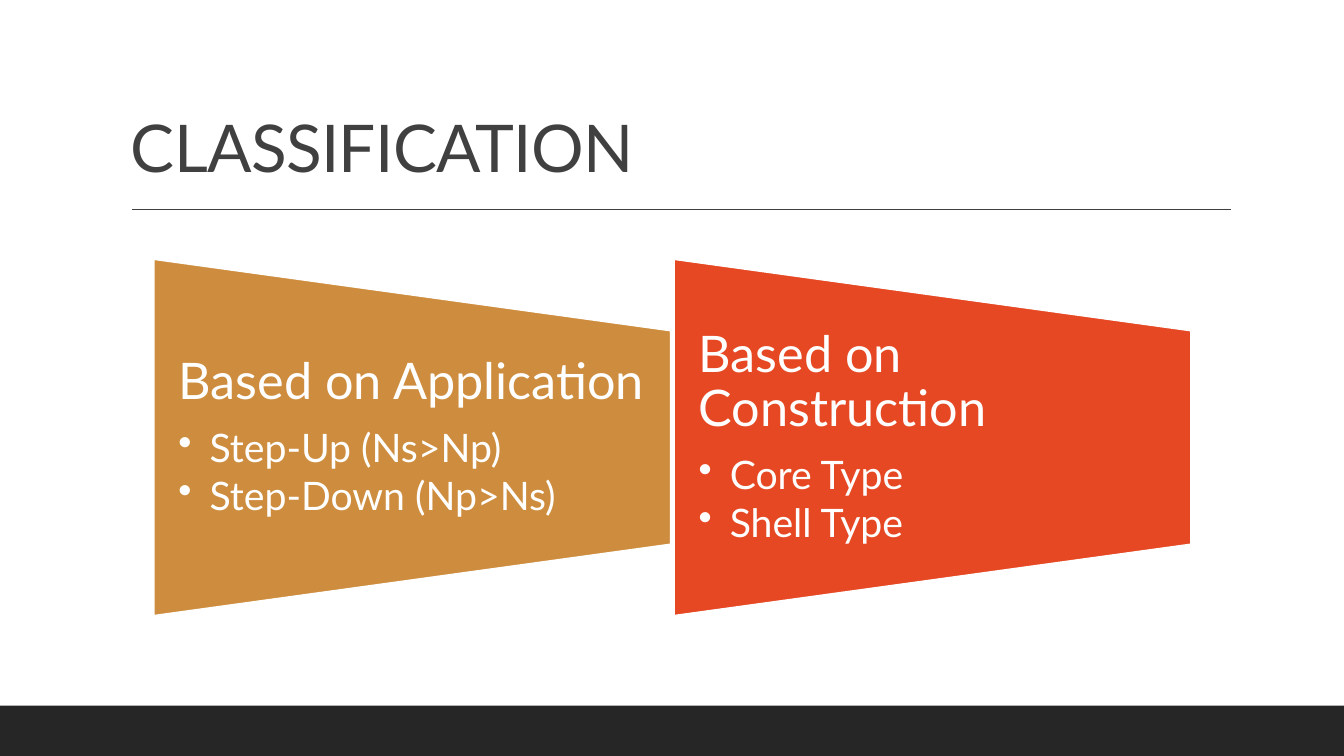
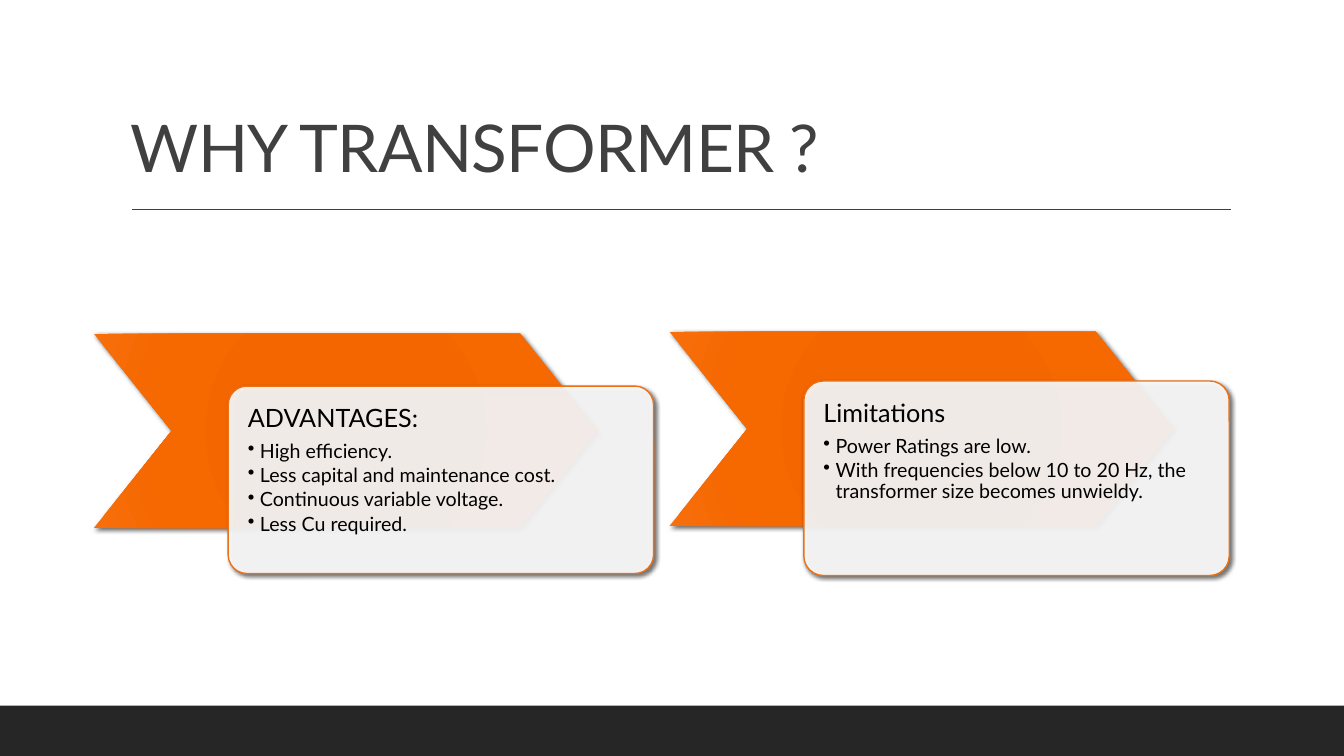
from dataclasses import dataclass

from lxml import etree
from pptx import Presentation
from pptx.dml.color import RGBColor
from pptx.enum.shapes import MSO_CONNECTOR, MSO_SHAPE
from pptx.enum.text import MSO_ANCHOR
from pptx.oxml import parse_xml
from pptx.oxml.ns import nsdecls, qn
from pptx.util import Emu, Inches, Pt

RECTANGLE = MSO_SHAPE.RECTANGLE
ROUNDED = MSO_SHAPE.ROUNDED_RECTANGLE
CHEVRON = MSO_SHAPE.CHEVRON
TRAPEZOID = MSO_SHAPE.FLOWCHART_MANUAL_OPERATION
STRAIGHT = MSO_CONNECTOR.STRAIGHT
TOP, MIDDLE, BOTTOM = MSO_ANCHOR.TOP, MSO_ANCHOR.MIDDLE, MSO_ANCHOR.BOTTOM

WHITE = RGBColor(0xFF, 0xFF, 0xFF)
BLACK = RGBColor(0, 0, 0)
CHARCOAL = RGBColor(0x26, 0x26, 0x26)
GREY = RGBColor(0x40, 0x40, 0x40)
OCHRE = RGBColor(0xCE, 0x8D, 0x3E)
RED = RGBColor(0xE6, 0x48, 0x23)
CARD_EDGE = RGBColor(0xEC, 0x70, 0x16)
ORANGE_STOPS = (
    (0, RGBColor(0xF0, 0x65, 0x00)),
    (34, RGBColor(0xF3, 0x66, 0x00)),
    (70, RGBColor(0xF6, 0x68, 0x00)),
    (100, RGBColor(0xF7, 0x6E, 0x0B)),
)

FONT = "Lato"
SLIDE_WIDTH, SLIDE_HEIGHT = Inches(13.333), Inches(7.5)


def across(percent):
    return Emu(int(SLIDE_WIDTH * percent / 100))


def down(percent):
    return Emu(int(SLIDE_HEIGHT * percent / 100))


@dataclass(frozen=True)
class Box:
    left: float
    top: float
    width: float
    height: float

    def place(self):
        return (across(self.left), down(self.top),
                across(self.width), down(self.height))

    def inset(self, dx, dy):
        return Box(self.left + dx, self.top + dy,
                   self.width - 2 * dx, self.height - 2 * dy)


@dataclass(frozen=True)
class ListStyle:
    heading_size: float
    item_size: float
    color: RGBColor
    indent: float
    side_margin: float
    end_margin: float
    anchor: MSO_ANCHOR


@dataclass(frozen=True)
class Topic:
    heading: str
    items: tuple[str, ...]


@dataclass(frozen=True)
class Category:
    topic: Topic
    color: RGBColor


@dataclass(frozen=True)
class Argument:
    topic: Topic
    arrow_top: float
    card_top: float
    card_height: float


CATEGORY_STYLE = ListStyle(36, 28, WHITE, 0.31, 0.25, 0, MIDDLE)
ARGUMENT_STYLE = ListStyle(18, 14, BLACK, 0.12, 0.14, 0.14, TOP)

CATEGORIES = (
    Category(Topic("Based on Application",
                   ("Step-Up (Ns>Np)", "Step-Down (Np>Ns)")), OCHRE),
    Category(Topic("Based on Construction",
                   ("Core Type", "Shell Type")), RED),
)
ARGUMENTS = (
    Argument(Topic("ADVANTAGES:",
                   ("High efficiency.", "Less capital and maintenance cost.",
                    "Continuous variable voltage.", "Less Cu required.")),
             44.13, 51.07, 24.8),
    Argument(Topic("Limitations",
                   ("Power Ratings are low.",
                    "With frequencies below 10 to 20 Hz, the transformer "
                    "size becomes unwieldy.")),
             43.87, 50.4, 25.73),
)


def add_flat_shape(slide, kind, place, color):
    shape = slide.shapes.add_shape(kind, *place)
    shape.shadow.inherit = False
    shape.fill.solid()
    shape.fill.fore_color.rgb = color
    shape.line.fill.background()
    return shape


def set_outline(shape, color, points):
    shape.line.color.rgb = color
    shape.line.width = Pt(points)


def add_shadow(shape, blur):
    effects = shape._element.spPr.find(qn("a:effectLst"))
    effects.append(parse_xml(
        f'<a:outerShdw {nsdecls("a")} blurRad="{Pt(blur)}" dist="{Pt(2)}" '
        'dir="2700000" algn="tl" rotWithShape="0"><a:srgbClr val="000000">'
        '<a:alpha val="60000"/></a:srgbClr></a:outerShdw>'))


def set_radial_fill(shape, stops):
    stop_xml = "".join(
        f'<a:gs pos="{share * 1000}"><a:srgbClr val="{color}"/></a:gs>'
        for share, color in stops)
    gradient = parse_xml(
        f'<a:gradFill {nsdecls("a")} rotWithShape="1"><a:gsLst>{stop_xml}'
        '</a:gsLst><a:path path="circle"><a:fillToRect l="100000" t="100000" '
        'r="100000" b="100000"/></a:path></a:gradFill>')
    properties = shape._element.spPr
    properties.replace(properties.find(qn("a:solidFill")), gradient)


def set_opacity(shape, percent):
    color = shape._element.spPr.find(qn("a:solidFill"))[0]
    etree.SubElement(color, qn("a:alpha")).set("val", str(percent * 1000))


def add_text_frame(slide, box, anchor):
    frame = slide.shapes.add_textbox(*box.place()).text_frame
    frame.word_wrap = True
    frame.vertical_anchor = anchor
    return frame


def write_paragraph(paragraph, text, size, color):
    paragraph.text = text
    paragraph.line_spacing = 0.9
    run = paragraph.runs[0]
    run.font.name = FONT
    run.font.size = Pt(size)
    run.font.color.rgb = color
    return run


def set_space_after(paragraph, percent):
    space = etree.SubElement(paragraph._p.get_or_add_pPr(), qn("a:spcAft"))
    etree.SubElement(space, qn("a:spcPct")).set("val", str(percent * 1000))


def set_bullet(paragraph, indent):
    properties = paragraph._p.get_or_add_pPr()
    properties.set("marL", str(Inches(indent)))
    properties.set("indent", str(-Inches(indent)))
    etree.SubElement(properties, qn("a:buChar")).set("char", "•")


def add_topic(slide, box: Box, topic: Topic, style: ListStyle):
    frame = add_text_frame(slide, box, style.anchor)
    frame.margin_left = frame.margin_right = Inches(style.side_margin)
    frame.margin_top = frame.margin_bottom = Inches(style.end_margin)
    heading = frame.paragraphs[0]
    write_paragraph(heading, topic.heading, style.heading_size, style.color)
    set_space_after(heading, 35)
    for item in topic.items:
        entry = frame.add_paragraph()
        write_paragraph(entry, item, style.item_size, style.color)
        entry.level = 1
        set_space_after(entry, 15)
        set_bullet(entry, style.indent)


def add_titled_slide(deck, title: str, title_top: float):
    slide = deck.slides.add_slide(deck.slide_layouts[6])
    footer = Box(0, 93.33, 100, 6.67)
    add_flat_shape(slide, RECTANGLE, footer.place(), CHARCOAL)
    rule = slide.shapes.add_connector(
        STRAIGHT, across(9.83), down(27.73), across(91.58), down(27.73))
    set_outline(rule, GREY, 1)
    etree.SubElement(rule._element.spPr, qn("a:effectLst"))
    title_box = Box(9, title_top, 82.5, 25.33 - title_top)
    frame = add_text_frame(slide, title_box, BOTTOM)
    run = write_paragraph(frame.paragraphs[0], title, 47, GREY)
    run.font._element.set("spc", "-50")
    return slide


def add_category(slide, box: Box, category: Category):
    left, top, width, height = box.place()
    turned = (left + (width - height) // 2, top + (height - width) // 2,
              height, width)
    panel = add_flat_shape(slide, TRAPEZOID, turned, category.color)
    panel.rotation = 270
    set_outline(panel, WHITE, 2)
    add_topic(slide, box.inset(0, box.height / 5), category.topic,
              CATEGORY_STYLE)


def add_argument(slide, left: float, argument: Argument):
    arrow_box = Box(left, argument.arrow_top, 37.5, 25.73)
    arrow = add_flat_shape(slide, CHEVRON, arrow_box.place(), CARD_EDGE)
    arrow.adjustments[0] = 0.4
    set_radial_fill(arrow, ORANGE_STOPS)
    add_shadow(arrow, 3.5)

    card_box = Box(left + 10, argument.card_top, 31.65, argument.card_height)
    card = add_flat_shape(slide, ROUNDED, card_box.place(), WHITE)
    card.adjustments[0] = 0.1
    set_opacity(card, 90)
    set_outline(card, CARD_EDGE, 1)
    add_shadow(card, 3)
    add_topic(slide, card_box.inset(0.41, 0.73), argument.topic,
              ARGUMENT_STYLE)


def main():
    deck = Presentation()
    deck.slide_width, deck.slide_height = SLIDE_WIDTH, SLIDE_HEIGHT

    classification = add_titled_slide(deck, "CLASSIFICATION", 4.13)
    for column, category in enumerate(CATEGORIES):
        panel_box = Box(11.4 + column * 38.7, 34.2, 38.55, 47.33)
        add_category(classification, panel_box, category)

    reasons = add_titled_slide(deck, "WHY TRANSFORMER ?", 7.87)
    for column, argument in enumerate(ARGUMENTS):
        add_argument(reasons, 6.98 + column * 42.83, argument)

    deck.save("out.pptx")


main()
